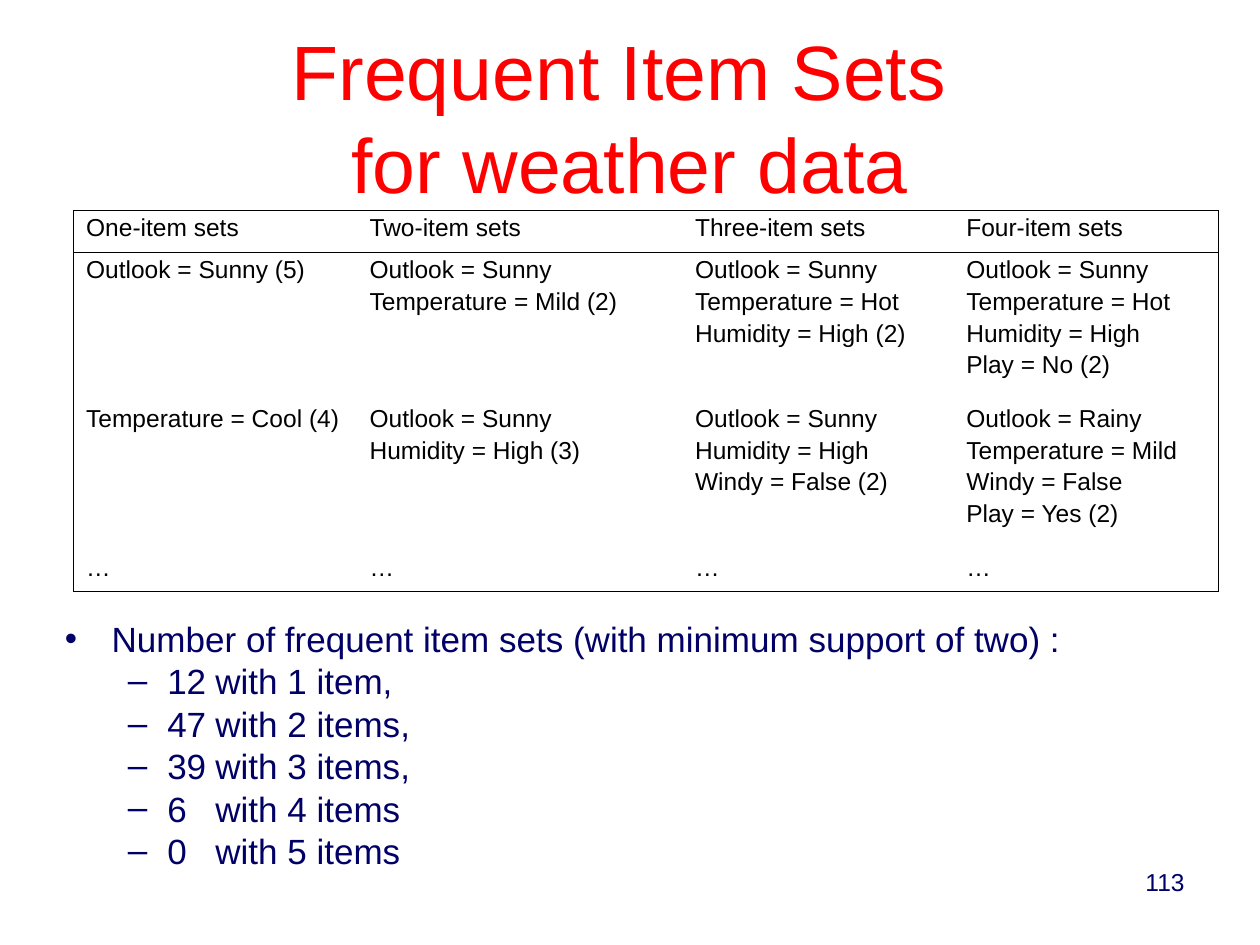
from lxml import etree
from pptx import Presentation
from pptx.dml.color import RGBColor
from pptx.enum.text import MSO_ANCHOR, PP_ALIGN
from pptx.oxml.ns import qn
from pptx.util import Pt

CENTER, RIGHT = PP_ALIGN.CENTER, PP_ALIGN.RIGHT
MIDDLE, TOP = MSO_ANCHOR.MIDDLE, MSO_ANCHOR.TOP
RED, NAVY, BLACK = "FF0000", "000066", "000000"
FONT = "Arial"

TITLE_LINES = ["Frequent Item Sets ", "for weather data"]
PAGE_NUMBER = "113"
ITEM_SETS = [
    [["One-item sets"], ["Two-item sets"], ["Three-item sets"], ["Four-item sets"]],
    [["Outlook = Sunny (5)"],
     ["Outlook = Sunny", "Temperature = Mild (2)"],
     ["Outlook = Sunny", "Temperature = Hot", "Humidity = High (2)"],
     ["Outlook = Sunny", "Temperature = Hot", "Humidity = High", "Play = No (2)"]],
    [["Temperature = Cool (4)"],
     ["Outlook = Sunny", "Humidity = High (3)"],
     ["Outlook = Sunny", "Humidity = High", "Windy = False (2)"],
     ["Outlook = Rainy", "Temperature = Mild", "Windy = False", "Play = Yes (2)"]],
    [["…"]] * 4,
]
COLUMN_WIDTHS = [162, 186, 155, 151]
ROW_HEIGHTS = [24, 85, 85, 24]
COUNTS = [
    (0, "Number of frequent item sets (with minimum support of two) :"),
    (1, "12\twith 1 item,"),
    (1, "47\twith 2 items,"),
    (1, "39\twith 3 items,"),
    (1, "6\twith 4 items"),
    (1, "0\twith 5 items"),
]
# level: (bullet, left margin, hanging indent)
BULLETS = {0: ("•", 26.75, 26.75), 1: ("–", 58.5, 22.5)}
COUNT_TAB = 86


def rgb(hex_color):
    return RGBColor.from_string(hex_color)


def add_run(paragraph, text, size, color):
    run = paragraph.add_run()
    run.text = text
    run.font.size = Pt(size)
    run.font.name = FONT
    run.font.color.rgb = rgb(color)


def add_box(slide, left, top, width, height, anchor=TOP):
    frame = slide.shapes.add_textbox(Pt(left), Pt(top), Pt(width), Pt(height)).text_frame
    frame.word_wrap = True
    frame.vertical_anchor = anchor
    return frame


def next_paragraph(frame, index, line_spacing, gap):
    """Return the paragraph at index, with a gap above all but the first."""
    paragraph = frame.add_paragraph() if index else frame.paragraphs[0]
    paragraph.line_spacing = line_spacing
    paragraph.space_before = Pt(gap if index else 0)
    return paragraph


def set_bullet(paragraph, level):
    bullet, margin, hanging = BULLETS[level]
    props = paragraph._p.get_or_add_pPr()
    props.set("marL", str(Pt(margin)))
    props.set("indent", str(-Pt(hanging)))
    color = etree.SubElement(props, qn("a:buClr"))
    etree.SubElement(color, qn("a:srgbClr"), val=NAVY)
    etree.SubElement(props, qn("a:buFont"), typeface=FONT)
    etree.SubElement(props, qn("a:buChar"), char=bullet)
    if level:
        tabs = etree.SubElement(props, qn("a:tabLst"))
        etree.SubElement(tabs, qn("a:tab"), pos=str(Pt(COUNT_TAB)), algn="l")


def set_borders(cell, visible):
    props = cell._tc.get_or_add_tcPr()
    for side in "LRTB":
        line = etree.SubElement(props, qn(f"a:ln{side}"), w=str(Pt(0.23)))
        if side in visible:
            fill = etree.SubElement(line, qn("a:solidFill"))
            etree.SubElement(fill, qn("a:srgbClr"), val=BLACK)
        else:
            etree.SubElement(line, qn("a:noFill"))


def add_item_sets(slide, left, top):
    rows, columns = len(ROW_HEIGHTS), len(COLUMN_WIDTHS)
    table = slide.shapes.add_table(rows, columns, Pt(left), Pt(top),
                                   Pt(sum(COLUMN_WIDTHS)), Pt(sum(ROW_HEIGHTS))).table
    table.first_row = table.horz_banding = False
    for column, width in zip(table.columns, COLUMN_WIDTHS):
        column.width = Pt(width)
    for r, (row, height) in enumerate(zip(ITEM_SETS, ROW_HEIGHTS)):
        table.rows[r].height = Pt(height)
        for c, items in enumerate(row):
            cell = table.cell(r, c)
            sides = {"L": c == 0, "R": c == columns - 1,
                     "T": r <= 1, "B": r in (0, rows - 1)}
            set_borders(cell, [side for side, shown in sides.items() if shown])
            cell.fill.background()
            for i, item in enumerate(items):
                add_run(next_paragraph(cell.text_frame, i, 0.93, 3.5), item, 14, BLACK)


def main():
    prs = Presentation()
    prs.slide_width, prs.slide_height = Pt(720), Pt(540)
    slide = prs.slides.add_slide(prs.slide_layouts[6])

    number = add_box(slide, 516, 492, 168, 37.5).paragraphs[0]
    number.alignment = RIGHT
    add_run(number, PAGE_NUMBER, 14, NAVY)

    title = add_box(slide, 36, 21.5, 648, 90, MIDDLE).paragraphs[0]
    title.alignment = CENTER
    for i, line in enumerate(TITLE_LINES):
        if i:
            title.add_line_break()
        add_run(title, line, 44, RED)

    add_item_sets(slide, 42, 120)

    counts = add_box(slide, 30, 354, 672, 142.5)
    for i, (level, text) in enumerate(COUNTS):
        paragraph = next_paragraph(counts, i, 0.8, 5)
        paragraph.level = level
        set_bullet(paragraph, level)
        add_run(paragraph, text, 20, NAVY)

    prs.save("out.pptx")


if __name__ == "__main__":
    main()
